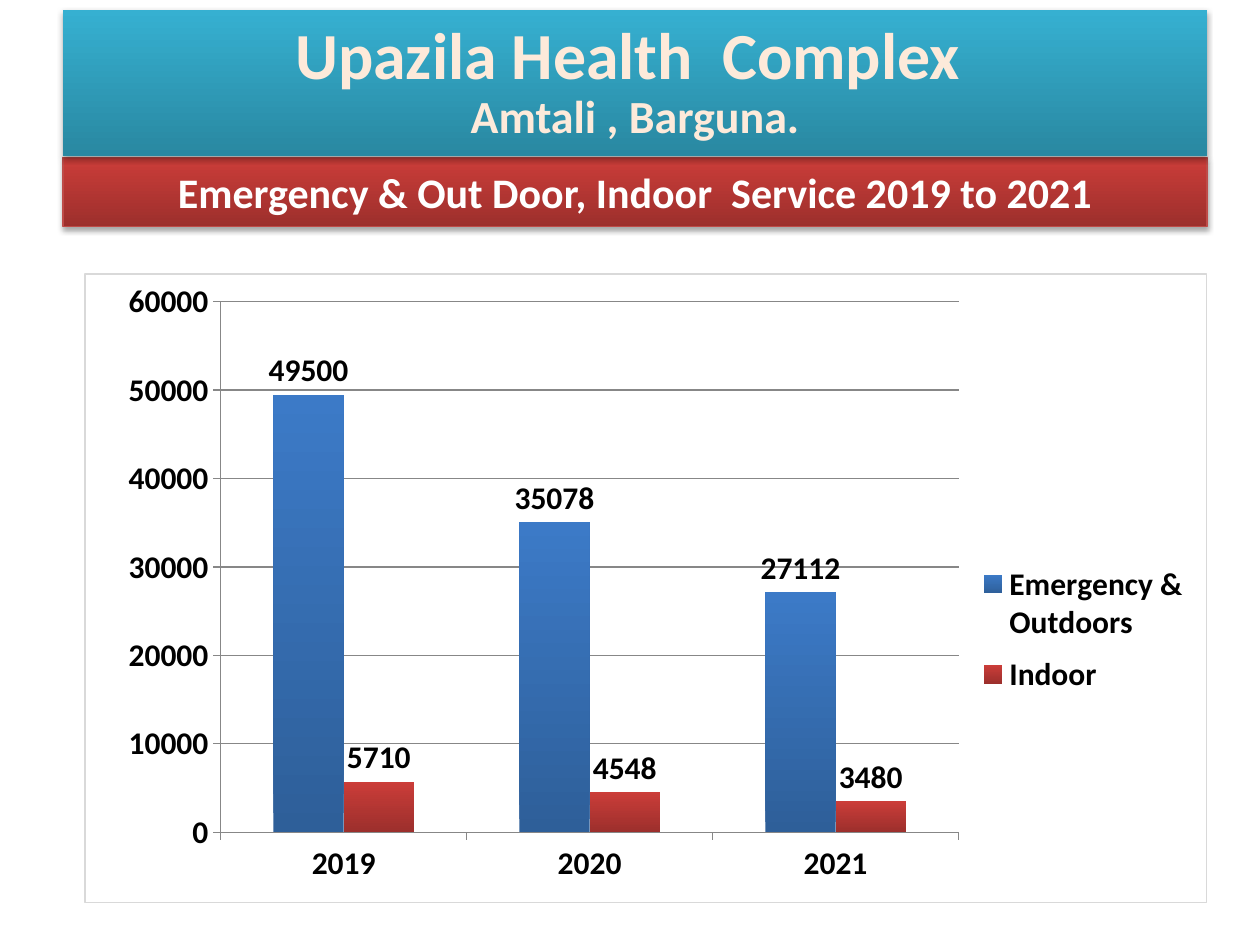
from lxml import etree
from pptx import Presentation
from pptx.chart.data import CategoryChartData
from pptx.dml.color import RGBColor
from pptx.enum.chart import XL_CHART_TYPE, XL_LABEL_POSITION, XL_LEGEND_POSITION, XL_TICK_MARK
from pptx.enum.shapes import MSO_SHAPE
from pptx.enum.text import MSO_ANCHOR, PP_ALIGN
from pptx.oxml import parse_xml
from pptx.oxml.ns import nsdecls, qn
from pptx.util import Inches, Pt

COLUMNS = XL_CHART_TYPE.COLUMN_CLUSTERED
OUTSIDE_END = XL_LABEL_POSITION.OUTSIDE_END
LEGEND_RIGHT = XL_LEGEND_POSITION.RIGHT
TICK_OUTSIDE = XL_TICK_MARK.OUTSIDE
RECTANGLE = MSO_SHAPE.RECTANGLE
MIDDLE = MSO_ANCHOR.MIDDLE
CENTER = PP_ALIGN.CENTER

FONT = "Calibri"
RED = ("9C2F2C", "CB3D39")
BLUE = ("2E5F99", "3C7AC7")
TEAL = ("2988A1", "36B0D1")
AXIS_GRAY = "878787"

YEARS = ("2019", "2020", "2021")
SERVICES = (
    ("Emergency & Outdoors", (49500, 35078, 27112), BLUE),
    ("Indoor", (5710, 4548, 3480), RED),
)


def color(hex_text):
    return RGBColor.from_string(hex_text)


def set_font(font, size, hex_text):
    font.name = FONT
    font.size = Pt(size)
    font.bold = True
    font.color.rgb = color(hex_text)


def set_line(line, hex_text):
    line.color.rgb = color(hex_text)
    line.width = Pt(0.75)


def set_gradient(fill, colors):
    """Fill from the first colour at the bottom to the second at the top."""
    fill.gradient()
    fill.gradient_angle = 90
    for stop, hex_text in zip(fill.gradient_stops, colors):
        stop.color.rgb = color(hex_text)


def add_shadow(shape):
    shape.shadow.inherit = False
    effects = shape.element.spPr.find(qn("a:effectLst"))
    effects.append(parse_xml(
        f'<a:outerShdw {nsdecls("a")} blurRad="{Pt(3.1)}" dist="{Pt(1.8)}" '
        'dir="5400000" rotWithShape="0"><a:srgbClr val="000000">'
        '<a:alpha val="35000"/></a:srgbClr></a:outerShdw>'))


def add_banner(slide, top, height, colors, text_color, lines, border=None):
    """Add a gradient band whose lines are (text, size) pairs in one paragraph."""
    shape = slide.shapes.add_shape(
        RECTANGLE, Inches(0.5), Inches(top), Inches(9.08), Inches(height))
    set_gradient(shape.fill, colors)
    if border:
        set_line(shape.line, border)
    else:
        shape.line.fill.background()
    add_shadow(shape)
    frame = shape.text_frame
    frame.word_wrap = True
    frame.vertical_anchor = MIDDLE
    paragraph = frame.paragraphs[0]
    paragraph.alignment = CENTER
    for index, (text, size) in enumerate(lines):
        if index:
            paragraph.add_line_break()
        run = paragraph.add_run()
        run.text = text
        set_font(run.font, size, text_color)
    return shape


def make_layout(x, y, width, height, inner=False):
    layout = etree.Element(qn("c:layout"))
    manual = etree.SubElement(layout, qn("c:manualLayout"))
    settings = [("layoutTarget", "inner")] if inner else []
    settings += [("xMode", "edge"), ("yMode", "edge"),
                 ("x", x), ("y", y), ("w", width), ("h", height)]
    for name, value in settings:
        etree.SubElement(manual, qn(f"c:{name}")).set("val", str(value))
    return layout


def place_chart_parts(chart):
    """Fix the plot and legend positions and draw the chart border."""
    chart_space = chart.element
    plot_area = chart_space.find(".//" + qn("c:plotArea"))
    legend = chart_space.find(".//" + qn("c:legend"))
    for part in (plot_area, legend):
        for old_layout in part.findall(qn("c:layout")):
            part.remove(old_layout)
    plot_area.insert(0, make_layout(0.121, 0.044, 0.658, 0.844, inner=True))
    legend.find(qn("c:legendPos")).addnext(make_layout(0.79, 0.44, 0.2, 0.25))
    chart_space.find(qn("c:chart")).addnext(parse_xml(
        f'<c:spPr {nsdecls("c", "a")}><a:noFill/><a:ln w="{Pt(0.75)}"><a:solidFill>'
        '<a:srgbClr val="D9D9D9"/></a:solidFill></a:ln></c:spPr>'))


def style_axis(axis):
    axis.major_tick_mark = TICK_OUTSIDE
    set_font(axis.tick_labels.font, 18, "000000")
    set_line(axis.format.line, AXIS_GRAY)


def style_series(series, colors):
    set_gradient(series.format.fill, colors)
    series.invert_if_negative = False
    labels = series.data_labels
    labels.show_value = True
    labels.position = OUTSIDE_END
    set_font(labels.font, 18, "000000")


def add_service_chart(slide):
    data = CategoryChartData()
    data.categories = YEARS
    for name, values, _ in SERVICES:
        data.add_series(name, values)
    chart = slide.shapes.add_chart(
        COLUMNS, Inches(0.67), Inches(2.17), Inches(8.91), Inches(5), data).chart
    chart.has_title = False
    chart.has_legend = True
    chart.legend.position = LEGEND_RIGHT
    chart.legend.include_in_layout = False
    set_font(chart.legend.font, 18, "000000")

    plot = chart.plots[0]
    plot.gap_width = 150
    plot.overlap = 0
    plot.vary_by_categories = False
    for series, (_, _, colors) in zip(plot.series, SERVICES):
        style_series(series, colors)

    style_axis(chart.category_axis)
    value_axis = chart.value_axis
    style_axis(value_axis)
    value_axis.minimum_scale = 0
    value_axis.maximum_scale = 60000
    value_axis.major_unit = 10000
    value_axis.has_major_gridlines = True
    set_line(value_axis.major_gridlines.format.line, AXIS_GRAY)
    place_chart_parts(chart)


def main():
    presentation = Presentation()
    presentation.slide_width = Inches(10)
    presentation.slide_height = Inches(7.5)
    slide = presentation.slides.add_slide(presentation.slide_layouts[6])

    title = add_banner(
        slide, 1.25, 0.55, RED, "FFFFFF",
        [("Emergency & Out Door, Indoor  Service 2019 to 2021", 24)], border="BE4B48")
    frame = title.text_frame
    frame.margin_left = frame.margin_right = frame.margin_top = frame.margin_bottom = 0

    add_service_chart(slide)

    header = add_banner(
        slide, 0.08, 1.16, TEAL, "FDEADA",
        [("Upazila Health  Complex ", 37.6), ("Amtali , Barguna.", 26.3)])
    header.text_frame.paragraphs[0].line_spacing = 0.9

    presentation.save("out.pptx")


if __name__ == "__main__":
    main()
